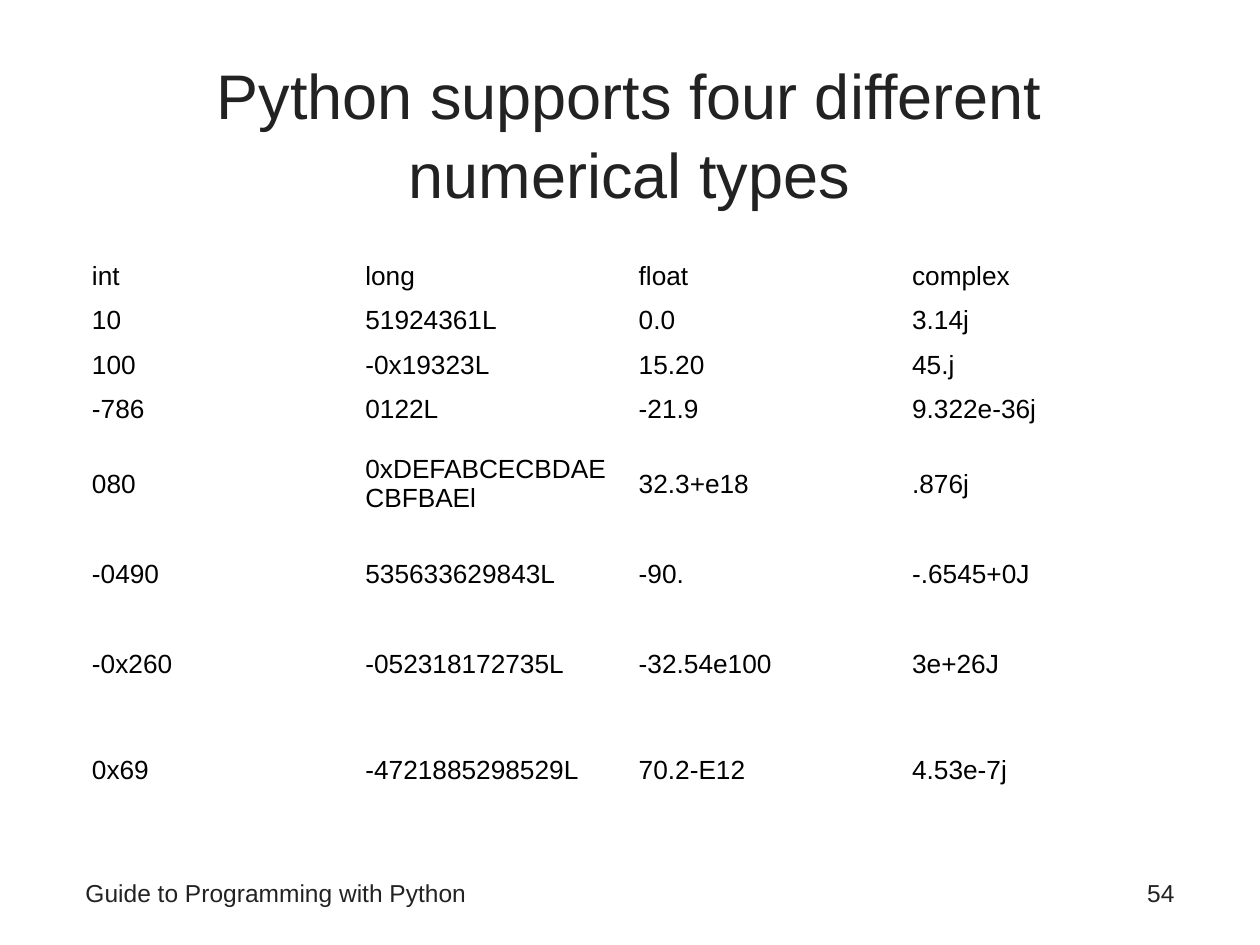
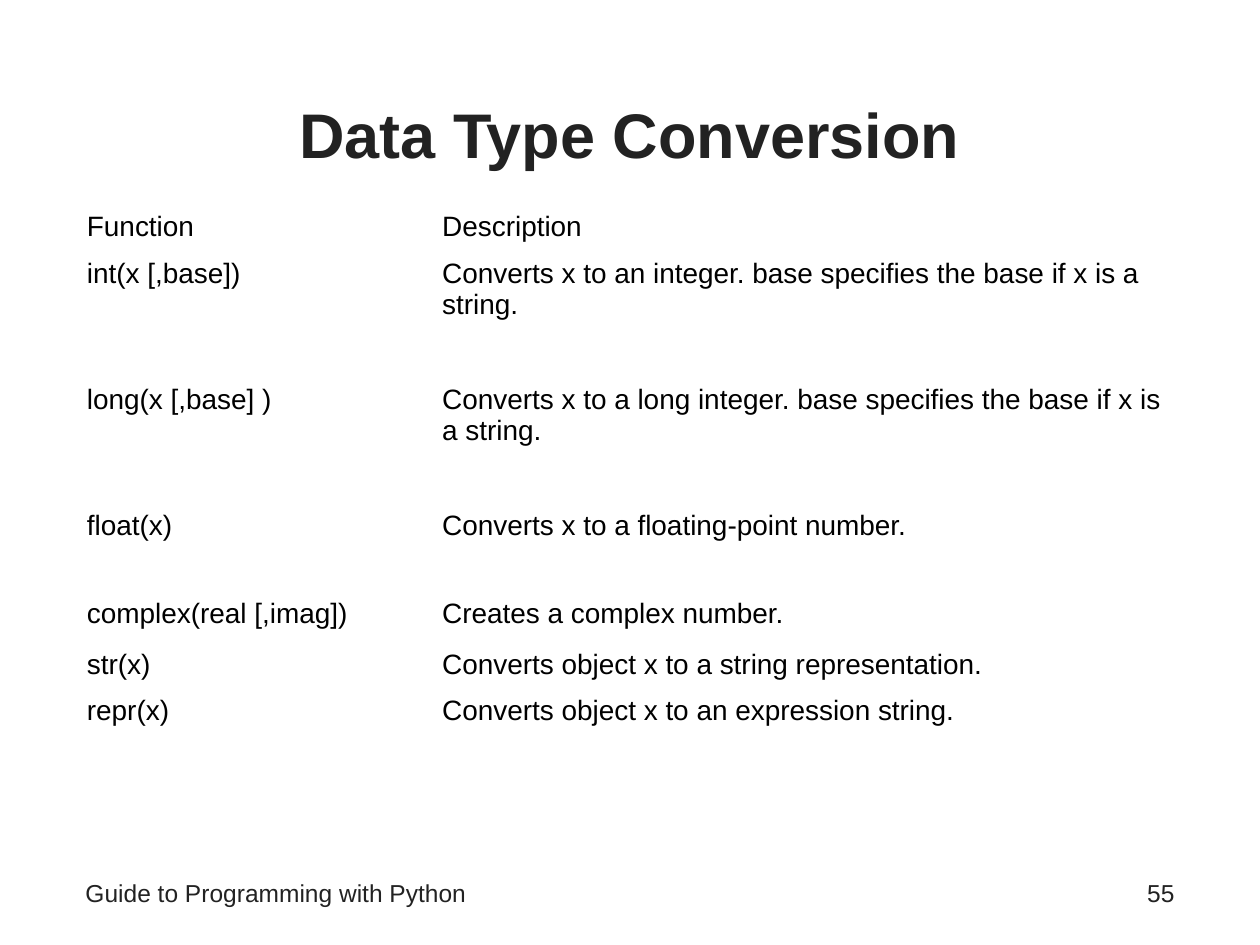
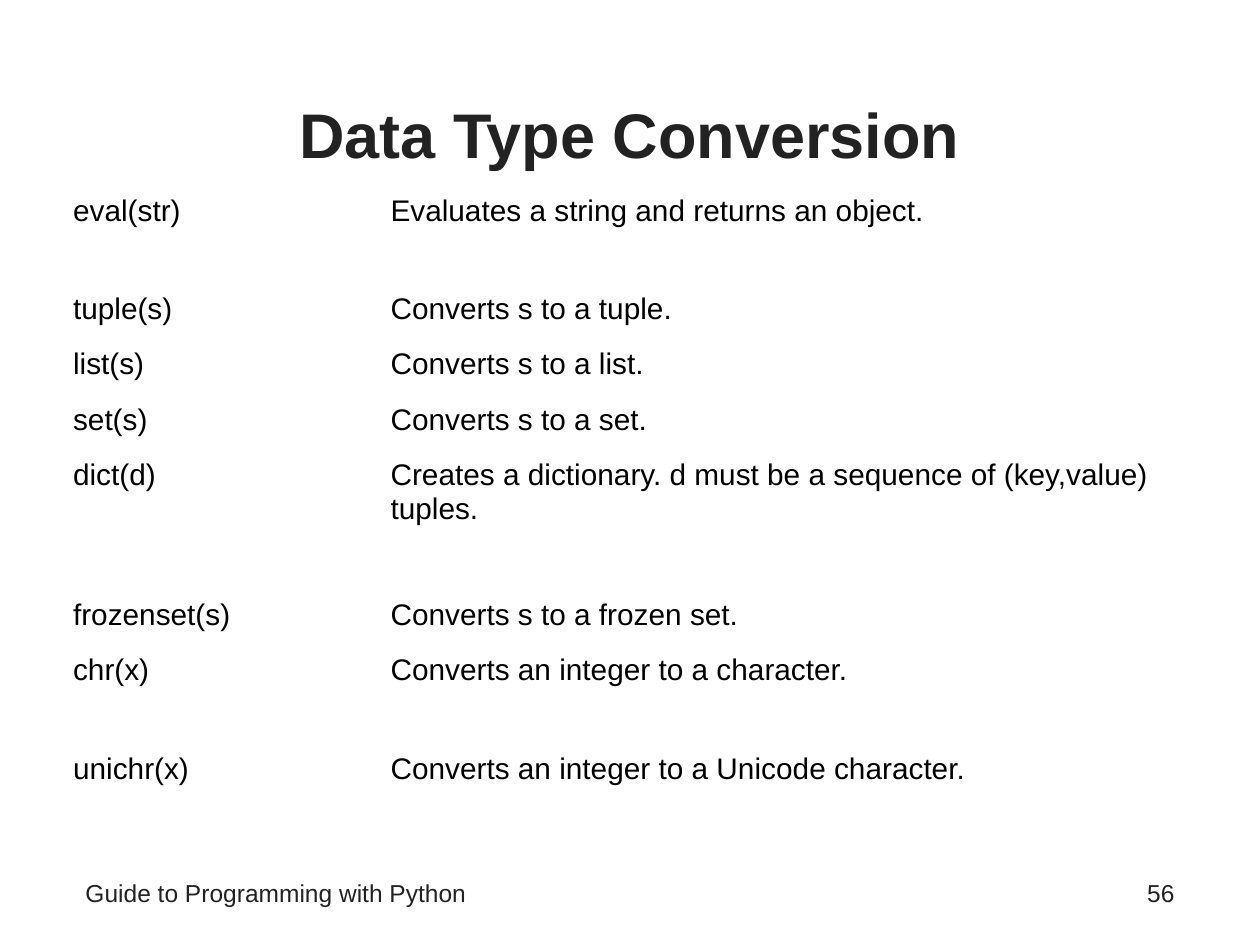
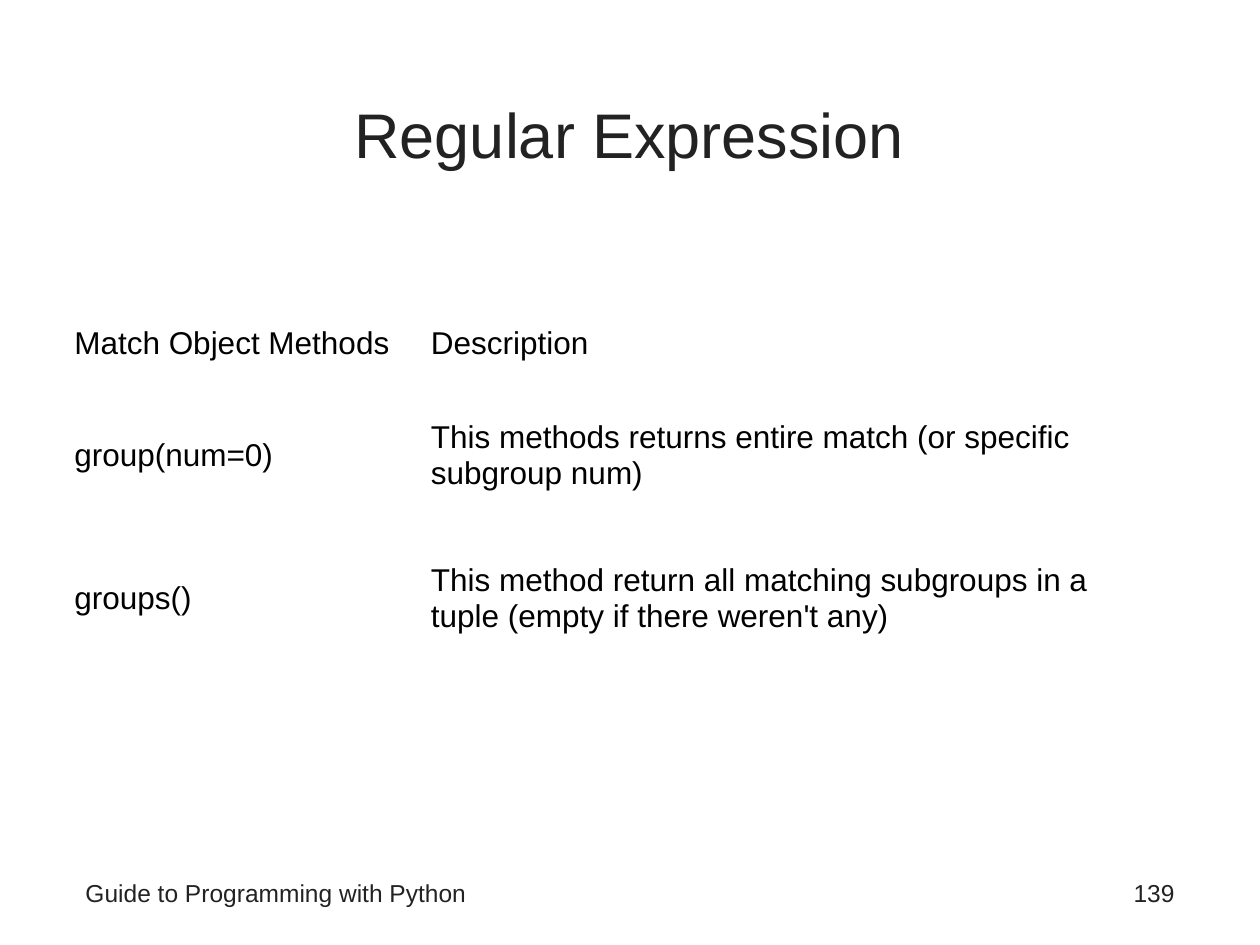
from pptx import Presentation
from pptx.dml.color import RGBColor
from pptx.enum.text import MSO_ANCHOR, PP_ALIGN
from pptx.util import Pt

PX = 9144  # 100 px to the inch
FONT = "Arial"
INK = RGBColor(0x22, 0x22, 0x22)
BLACK = RGBColor(0x00, 0x00, 0x00)
LEFT, CENTER, RIGHT = PP_ALIGN.LEFT, PP_ALIGN.CENTER, PP_ALIGN.RIGHT
TOP, MIDDLE = MSO_ANCHOR.TOP, MSO_ANCHOR.MIDDLE

TITLE_BOX = (58, 42, 883, 125)
FOOTER_BOX = (58, 692, 642, 42)
NUMBER_BOX = (717, 692, 225, 42)
FOOTER = "Guide to Programming with Python"

SLIDES = [
    dict(title="Python supports four different numerical types", bold=False, number="54",
         at=(65, 202), size=15, margin=8, head_anchor=MIDDLE, body_anchor=MIDDLE,
         cols=[217] * 4, heights=[34, 34, 34, 34, 84, 59, 84, 84],
         rows=[("int", "long", "float", "complex"),
               ("10", "51924361L", "0.0", "3.14j"),
               ("100", "-0x19323L", "15.20", "45.j"),
               ("-786", "0122L", "-21.9", "9.322e-36j"),
               ("080", "0xDEFABCECBDAECBFBAEl", "32.3+e18", ".876j"),
               ("-0490", "535633629843L", "-90.", "-.6545+0J"),
               ("-0x260", "-052318172735L", "-32.54e100", "3e+26J"),
               ("0x69", "-4721885298529L", "70.2-E12", "4.53e-7j")]),
    dict(title="Data Type Conversion", bold=True, number="55",
         at=(60, 160), size=16, margin=9, head_anchor=MIDDLE, body_anchor=TOP,
         cols=[282, 592], heights=[40, 100, 100, 70, 40, 36, 70],
         rows=[("Function", "Description"),
               ("int(x [,base])",
                "Converts x to an integer. base specifies the base if x is a string."),
               ("long(x [,base] )",
                "Converts x to a long integer. base specifies the base if x is a string."),
               ("float(x)", "Converts x to a floating-point number."),
               ("complex(real [,imag])", "Creates a complex number."),
               ("str(x)", "Converts object x to a string representation."),
               ("repr(x)", "Converts object x to an expression string.")]),
    dict(title="Data Type Conversion", bold=True, number="56",
         at=(49, 149), size=17, margin=9, head_anchor=TOP, body_anchor=TOP,
         cols=[252, 637], heights=[78, 44, 44, 44, 111, 44, 78, 78],
         rows=[("eval(str)", "Evaluates a string and returns an object."),
               ("tuple(s)", "Converts s to a tuple."),
               ("list(s)", "Converts s to a list."),
               ("set(s)", "Converts s to a set."),
               ("dict(d)",
                "Creates a dictionary. d must be a sequence of (key,value) tuples."),
               ("frozenset(s)", "Converts s to a frozen set."),
               ("chr(x)", "Converts an integer to a character."),
               ("unichr(x)", "Converts an integer to a Unicode character.")]),
    dict(title="Regular Expression", bold=False, number="139",
         at=(49, 240), size=18, margin=10, head_anchor=MIDDLE, body_anchor=MIDDLE,
         cols=[283, 602], heights=[65, 113, 114],
         rows=[("Match Object Methods", "Description"),
               ("group(num=0)",
                "This methods returns entire match (or specific subgroup num)"),
               ("groups()",
                "This method return all matching subgroups in a tuple "
                "(empty if there weren't any)")]),
]


def write(tf, text, size, color, align=LEFT, bold=False):
    """Fill the first paragraph of a text frame with one styled run."""
    p = tf.paragraphs[0]
    p.alignment = align
    r = p.add_run()
    r.text = text
    r.font.name, r.font.size, r.font.bold = FONT, Pt(size), bold
    r.font.color.rgb = color
    return p


def add_text(s, box, text, size, align=LEFT, anchor=TOP, bold=False):
    tf = s.shapes.add_textbox(*(v * PX for v in box)).text_frame
    tf.word_wrap = True
    tf.vertical_anchor = anchor
    return write(tf, text, size, INK, align, bold)


prs = Presentation()
prs.slide_width, prs.slide_height = 1000 * PX, 750 * PX
blank = prs.slide_layouts[6]

for page in SLIDES:
    s = prs.slides.add_slide(blank)
    title = add_text(s, TITLE_BOX, page["title"], 36, CENTER, MIDDLE, page["bold"])
    title.line_spacing = 1.05
    add_text(s, FOOTER_BOX, FOOTER, 14)
    add_text(s, NUMBER_BOX, page["number"], 14, RIGHT)

    rows, cols, heights = page["rows"], page["cols"], page["heights"]
    left, top = page["at"]
    table = s.shapes.add_table(len(rows), len(cols), left * PX, top * PX,
                               sum(cols) * PX, sum(heights) * PX).table
    table.first_row = table.horz_banding = False
    for column, width in zip(table.columns, cols):
        column.width = width * PX
    for i, (row, height) in enumerate(zip(table.rows, heights)):
        row.height = height * PX
        for cell, text in zip(row.cells, rows[i]):
            cell.fill.background()
            cell.margin_left = cell.margin_right = page["margin"] * PX
            cell.margin_top = cell.margin_bottom = 5 * PX
            cell.vertical_anchor = page["body_anchor"] if i else page["head_anchor"]
            write(cell.text_frame, text, page["size"], BLACK)

prs.save("out.pptx")
